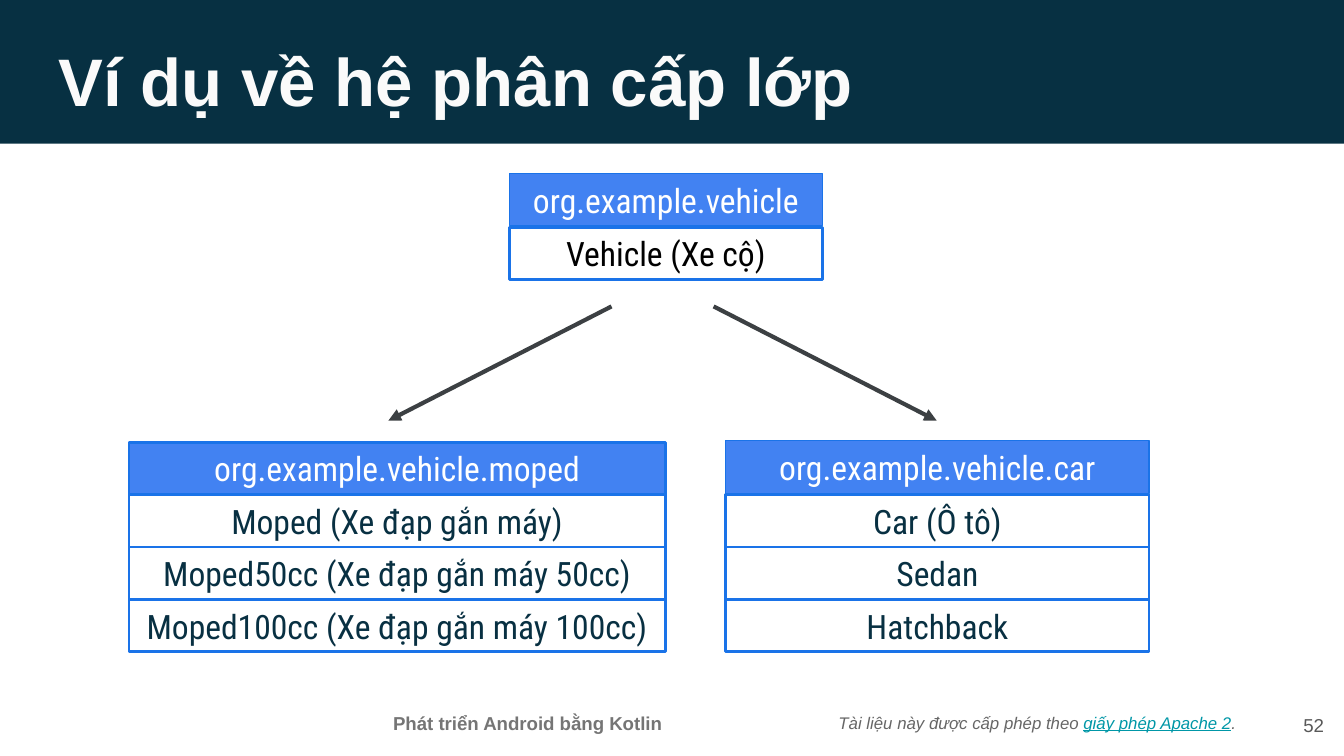
from lxml import etree
from pptx import Presentation
from pptx.dml.color import RGBColor
from pptx.enum import shapes, text
from pptx.oxml.ns import qn
from pptx.util import Inches, Pt

COLORS = {
    "band": "073042", "title": "FAFAFA", "header": "4282F2", "border": "1A73E8",
    "white": "FFFFFF", "black": "000000", "member": "083042", "arrow": "3C4043",
    "course": "757575", "license": "666666", "link": "0097A7", "number": "595959",
}
SLIDE_WIDTH = Inches(10)
SLIDE_HEIGHT = SLIDE_WIDTH * 9 // 16
ROW_HEIGHT = 0.39

TITLE = "Ví dụ về hệ phân cấp lớp"
COURSE = "Phát triển Android bằng Kotlin"
LICENSE = [
    ("Tài liệu này được cấp phép theo ", "license", False),
    ("giấy phép Apache 2", "link", True),
    (".", "license", False),
]
PAGE = "52"

# Each package box: left, header top, first member top, width
PACKAGES = [
    {"name": "org.example.vehicle.moped", "box": (0.96, 3.29, 3.68, 3.99),
     "line": 1.5, "color": "member",
     "classes": ["Moped (Xe đạp gắn máy)", "Moped50cc (Xe đạp gắn máy 50cc)",
                 "Moped100cc (Xe đạp gắn máy 100cc)"]},
    {"name": "org.example.vehicle.car", "box": (5.4, 3.28, 3.68, 3.15),
     "line": 0.75, "color": "member", "classes": ["Car (Ô tô)", "Sedan", "Hatchback"]},
    {"name": "org.example.vehicle", "box": (3.79, 1.29, 1.69, 2.33),
     "line": 0.75, "color": "black", "classes": ["Vehicle (Xe cộ)"]},
]
ARROWS = [((5.31, 2.28), (6.97, 3.13)), ((4.55, 2.28), (2.89, 3.13))]

LEFT, CENTER, RIGHT = text.PP_ALIGN.LEFT, text.PP_ALIGN.CENTER, text.PP_ALIGN.RIGHT
TOP, MIDDLE = text.MSO_ANCHOR.TOP, text.MSO_ANCHOR.MIDDLE


def rgb(name):
    return RGBColor.from_string(COLORS[name])


def write(shape, runs, size, font="Arial", align=LEFT, anchor=TOP, bold=False, italic=False):
    """Fill a shape with one paragraph made of (text, colour, underline) runs."""
    frame = shape.text_frame
    frame.word_wrap = True
    frame.vertical_anchor = anchor
    frame.margin_left = frame.margin_right = Inches(0.1)
    frame.margin_top = frame.margin_bottom = Inches(0.1)
    paragraph = frame.paragraphs[0]
    paragraph.alignment = align
    paragraph.font.name, paragraph.font.size = font, Pt(size)
    paragraph.font.bold, paragraph.font.italic = bold, italic
    for words, color, underline in runs:
        run = paragraph.add_run()
        run.text = words
        run.font.color.rgb = rgb(color)
        if underline:
            run.font.underline = True


def add_text(slide, box, runs, size, **style):
    write(slide.shapes.add_textbox(*map(Inches, box)), runs, size, **style)


def add_box(parent, box, fill=None, line=None):
    shape = parent.shapes.add_shape(shapes.MSO_SHAPE.RECTANGLE, *map(Inches, box))
    shape.shadow.inherit = False
    if fill:
        shape.fill.solid()
        shape.fill.fore_color.rgb = rgb(fill)
    else:
        shape.fill.background()
    if line:
        shape.line.color.rgb = rgb("border")
        shape.line.width = Pt(line)
    else:
        shape.line.fill.background()
    return shape


def add_package(slide, package):
    left, header_top, member_top, width = package["box"]
    group = slide.shapes.add_group_shape()
    label = {"size": 18, "font": "Roboto Condensed", "align": CENTER, "anchor": MIDDLE}
    for row, name in enumerate(package["classes"]):
        top = member_top + row * ROW_HEIGHT
        member = add_box(group, (left, top, width, ROW_HEIGHT), line=1.5)
        write(member, [(name, package["color"], False)], **label)
    header = add_box(group, (left, header_top, width, ROW_HEIGHT), "header", package["line"])
    write(header, [(package["name"], "white", False)], **label)


def add_arrow(slide, start, end):
    arrow = slide.shapes.add_connector(
        shapes.MSO_CONNECTOR.STRAIGHT, *map(Inches, start + end))
    arrow.line.color.rgb = rgb("arrow")
    arrow.line.width = Pt(2.25)
    properties = arrow._element.spPr
    etree.SubElement(properties.find(qn("a:ln")), qn("a:tailEnd"), type="triangle")
    etree.SubElement(properties, qn("a:effectLst"))


def main():
    presentation = Presentation()
    presentation.slide_width, presentation.slide_height = SLIDE_WIDTH, SLIDE_HEIGHT
    slide = presentation.slides.add_slide(presentation.slide_layouts[6])

    # Title band and footer
    add_box(slide, (-0.01, -0.04, 10.01, 1.11), "band")
    add_text(slide, (0.34, 0.19, 9.32, 0.63), [(TITLE, "title", False)], 36, bold=True)
    add_text(slide, (2.51, 5.21, 2.83, 0.32), [(COURSE, "course", False)], 10,
             align=CENTER, bold=True)
    add_text(slide, (6.14, 5.14, 3.52, 0.47), LICENSE, 9, anchor=MIDDLE, italic=True)
    add_text(slide, (9.35, 5.18, 0.6, 0.43), [(PAGE, "number", False)], 10,
             align=RIGHT, anchor=MIDDLE)

    # Class hierarchy
    for package in PACKAGES:
        add_package(slide, package)
    for start, end in ARROWS:
        add_arrow(slide, start, end)

    presentation.save("out.pptx")


if __name__ == "__main__":
    main()
